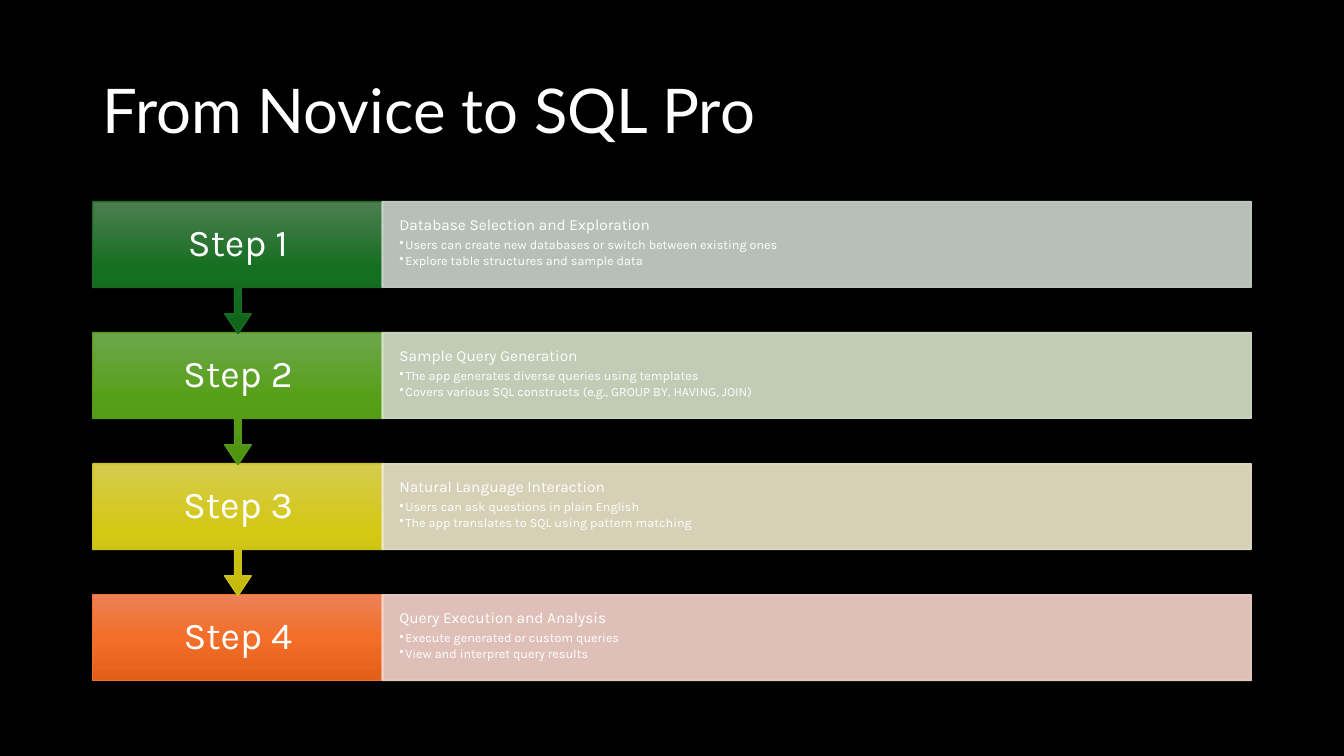
from copy import deepcopy

from pptx import Presentation
from pptx.dml.color import RGBColor as RGB
from pptx.enum.shapes import MSO_SHAPE as Shape
from pptx.enum.text import MSO_ANCHOR as Anchor, PP_ALIGN as Align
from pptx.oxml.ns import qn
from pptx.util import Inches, Pt

LEFT, SPLIT, TOP, PITCH = 0.92, 3.79, 2, 1.3
STEP_W, BODY_W, BOX_H, CALL_H = 2.88, 8.62, 0.85, 1.31
STEPS = [
    ("Database Selection and Exploration",
     ["Users can create new databases or switch between existing ones",
      "Explore table structures and sample data"],
     ["4D7E50", "156F21", "0F661B"], "196B24", "CCD4CD"),
    ("Sample Query Generation",
     ["The app generates diverse queries using templates",
      "Covers various SQL constructs (e.g., GROUP BY, HAVING, JOIN)"],
     ["6DA64E", "56A017", "4C930F"], "56991D", "D8E2CA"),
    ("Natural Language Interaction",
     ["Users can ask questions in plain English",
      "The app translates to SQL using pattern matching"],
     ["D5CB4E", "D4C815", "C4B90B"], "CBC11E", "EEE7CB"),
    ("Query Execution and Analysis",
     ["Execute generated or custom queries",
      "View and interpret query results"],
     ["ED8257", "F26E29", "E25F1A"], "E97132", "F7D5CE"),
]


def tint(color, code):
    """Set a colour from a hex string."""
    color.rgb = RGB.from_string(code)


def paint(fill, code, alpha=100):
    """Give a fill a solid colour with an opacity in percent."""
    fill.solid()
    tint(fill.fore_color, code)
    if alpha < 100:
        node = next(fill._xPr.iter(qn("a:srgbClr")))
        node.append(node.makeelement(qn("a:alpha"), {"val": str(alpha * 1000)}))


def write(para, text, size, font="Karla", align=Align.LEFT, after=0, bullet=False):
    """Put white text into a paragraph and format it."""
    para.alignment, para.line_spacing = align, 0.9
    para.space_before, para.space_after = Pt(0), Pt(after)
    run = para.add_run()
    run.text = text
    run.font.size, run.font.name = Pt(size), font
    tint(run.font.color, "FFFFFF")
    if bullet:
        para.level = 1
        props = para._p.get_or_add_pPr()
        props.set("marL", str(Inches(0.06)))
        props.set("indent", str(Inches(-0.06)))
        props.append(props.makeelement(qn("a:buChar"), {"char": "•"}))


def add_box(slide, kind, left, top, width, height, line, pad, anchor, alpha=100):
    """Add a shape with a thin line and set its text frame."""
    box = slide.shapes.add_shape(
        kind, Inches(left), Inches(top), Inches(width), Inches(height))
    box.shadow.inherit = False
    box.line.width = Pt(1)
    paint(box.line.fill, line, alpha)
    frame = box.text_frame
    frame.word_wrap, frame.vertical_anchor = True, anchor
    frame.margin_left = frame.margin_right = Inches(pad[0])
    frame.margin_top = frame.margin_bottom = Inches(pad[1])
    return box


def blend(box, codes):
    """Fill a shape with an even gradient from top to bottom."""
    box.fill.gradient()
    box.fill.gradient_angle = 270
    stops = next(box._element.spPr.iter(qn("a:gsLst")))
    stops.insert(1, deepcopy(stops[0]))
    for i, (stop, code) in enumerate(zip(box.fill.gradient_stops, codes)):
        stop.position = i / (len(codes) - 1)
        tint(stop.color, code)


def add_step(slide, i, last):
    """Add one step label, with an arrow unless last, and its panel."""
    head, points, codes, line, pale = STEPS[i]
    top = TOP + i * PITCH
    kind = Shape.RECTANGLE if last else Shape.DOWN_ARROW_CALLOUT
    step = add_box(slide, kind, LEFT, top, STEP_W, BOX_H if last else CALL_H,
                   line, (0.2, 0.21), Anchor.MIDDLE)
    if not last:
        for j, value in enumerate((0.05, 0.1, 0.15, 0.65)):
            step.adjustments[j] = value
    blend(step, codes)
    write(step.text_frame.paragraphs[0], f"Step {i + 1}", 27, align=Align.CENTER)

    panel = add_box(slide, Shape.RECTANGLE, SPLIT, top, BODY_W, BOX_H,
                    pale, (0.17, 0.15), Anchor.TOP, alpha=90)
    paint(panel.fill, pale, 90)
    frame = panel.text_frame
    write(frame.paragraphs[0], head, 11, after=4)
    for point in points:
        write(frame.add_paragraph(), point, 9, after=1.5, bullet=True)


def add_title(slide, text):
    """Place and fill the title."""
    title = slide.shapes.title
    title.left, title.top = Inches(LEFT), Inches(0.4)
    title.width, title.height = Inches(11.5), Inches(1.45)
    title.text_frame.vertical_anchor = Anchor.MIDDLE
    write(title.text_frame.paragraphs[0], text, 44, font="Lato")


def main():
    """Build the slide and save it."""
    deck = Presentation()
    deck.slide_width, deck.slide_height = Inches(13.33), Inches(7.5)
    slide = deck.slides.add_slide(deck.slide_layouts[5])
    paint(slide.background.fill, "000000")
    add_title(slide, "From Novice to SQL Pro")
    for i in reversed(range(len(STEPS))):
        add_step(slide, i, i == len(STEPS) - 1)
    deck.save("out.pptx")


if __name__ == "__main__":
    main()
